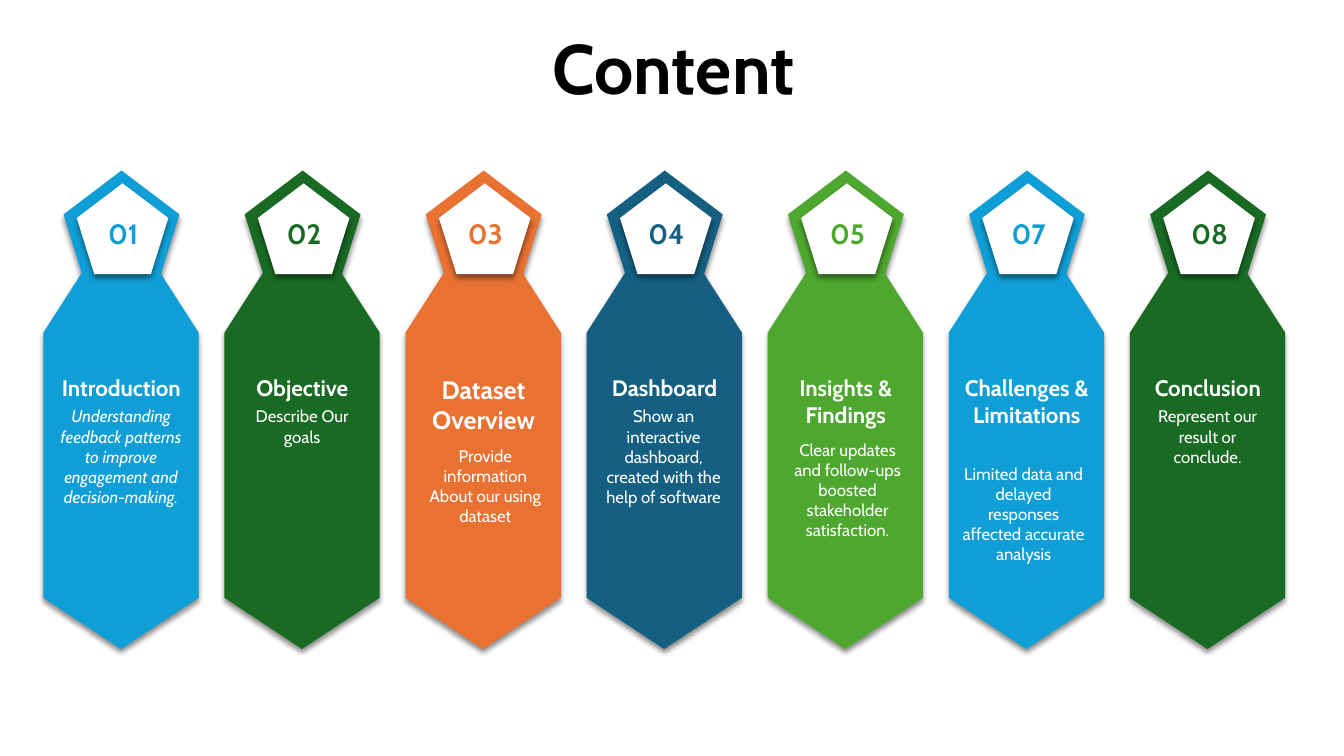
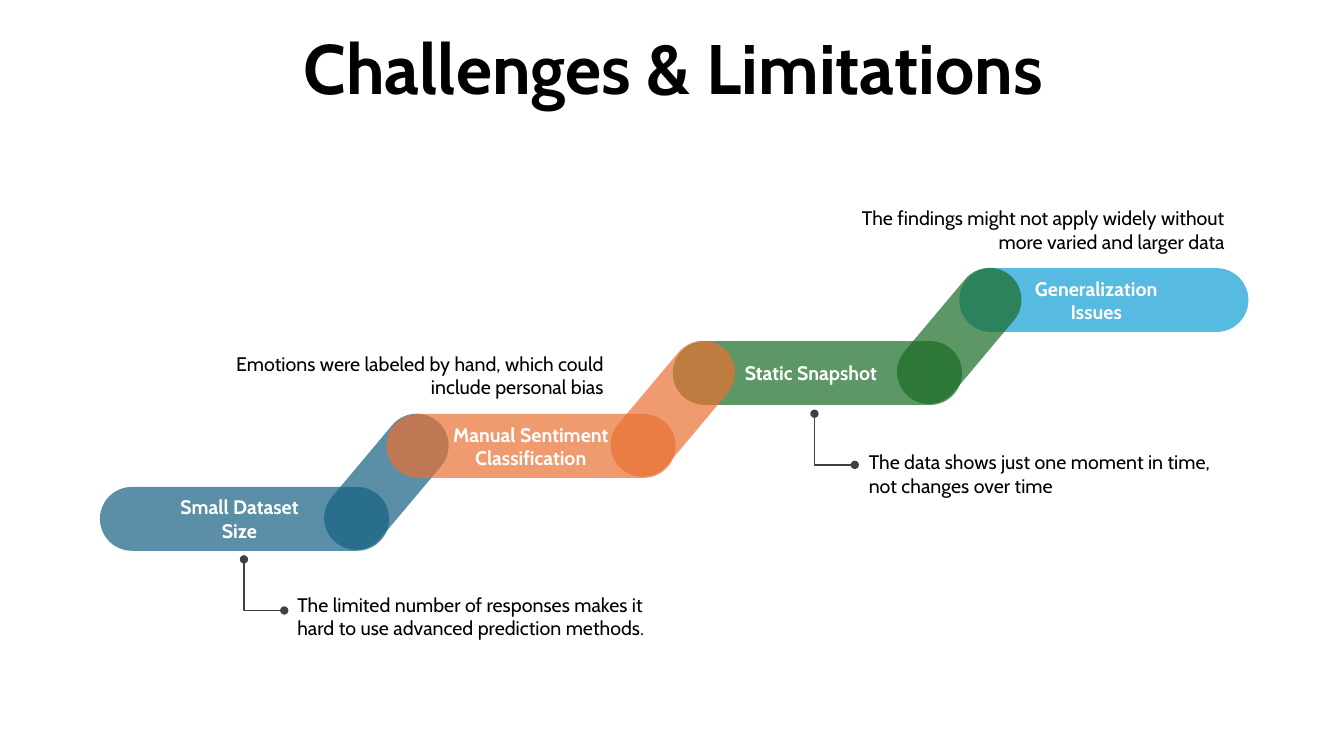
from dataclasses import dataclass

from lxml import etree
from pptx import Presentation
from pptx import util as u
from pptx.dml.color import RGBColor
from pptx.enum import shapes, text
from pptx.oxml import ns

FONT = "Cabin"
BLACK = RGBColor(0x00, 0x00, 0x00)
WHITE = RGBColor(0xFF, 0xFF, 0xFF)
GREY = RGBColor(0x40, 0x40, 0x40)
SKY = RGBColor(0x0F, 0x9E, 0xD5)
PINE = RGBColor(0x19, 0x6B, 0x24)
ORANGE = RGBColor(0xE9, 0x71, 0x32)
NAVY = RGBColor(0x15, 0x60, 0x82)
LEAF = RGBColor(0x4E, 0xA7, 0x2E)

LEFT, CENTER, RIGHT = text.PP_ALIGN.LEFT, text.PP_ALIGN.CENTER, text.PP_ALIGN.RIGHT
TOP, MIDDLE = text.MSO_ANCHOR.TOP, text.MSO_ANCHOR.MIDDLE
FIVE = shapes.MSO_SHAPE.REGULAR_PENTAGON
ROUND = shapes.MSO_SHAPE.ROUNDED_RECTANGLE

CARD_X, CARD_GAP = 31, 129.35
BODY = ((28.8, 192.8), (82.1, 192.8), (110.9, 237.6), (110.9, 427),
        (55.4, 463.6), (0, 427), (0, 237.6))
STEP_X, STEP_Y = 204.6, -52.1
BAR_H = 45.6


@dataclass
class Card:
    """One entry of the contents."""
    num: str
    head: str
    note: str
    color: RGBColor
    top: float = 286.6
    shift: float = 3.5
    size: int = 16
    slant: bool = False


@dataclass
class Stage:
    """One bar of the staircase with its label and note."""
    label: str
    color: RGBColor
    x: float
    width: float
    note: str
    spot: tuple[float, float, float]
    align: text.PP_ALIGN


CARDS = (
    Card("01", "Introduction", "Understanding feedback patterns to improve "
         "engagement and decision-making.", SKY, slant=True),
    Card("02", "Objective", "Describe Our goals", PINE),
    Card("03", "Dataset Overview", "Provide information About our using dataset",
         ORANGE, top=314.6, shift=5, size=18),
    Card("04", "Dashboard", "Show an interactive dashboard, created with the "
         "help of software", NAVY, shift=3),
    Card("05", "Insights & Findings", "Clear updates and follow-ups boosted "
         "stakeholder satisfaction.", LEAF, top=310.3, shift=5),
    Card("07", "Challenges & Limitations", "Limited data and delayed responses "
         "affected accurate analysis", SKY, top=327.6, shift=1.4),
    Card("08", "Conclusion", "Represent our result or conclude.", PINE),
)

STAGES = (
    Stage("Small Dataset Size", NAVY, 115.2, 118.8,
          "The limited number of responses makes it hard to use advanced "
          "prediction methods.", (212.4, 419.8, 279.4), LEFT),
    Stage("Manual Sentiment Classification", ORANGE, 319, 127.4,
          "Emotions were labeled by hand, which could include personal bias",
          (153.4, 247.5, 285), RIGHT),
    Stage("Static Snapshot", PINE, 523.4, 118.8,
          "The data shows just one moment in time, not changes over time",
          (620.6, 318.2, 268.6), LEFT),
    Stage("Generalization Issues", SKY, 727.2, 118.8,
          "The findings might not apply widely without more varied and "
          "larger data", (597, 143.7, 285), RIGHT),
)


def write(frame, words: str, *, size: float, color=BLACK, bold=False,
          italic=False, align=CENTER, anchor=TOP, inset=7.2, lead=None) -> None:
    """Fill a text frame with one formatted paragraph."""
    frame.word_wrap = True
    frame.auto_size = text.MSO_AUTO_SIZE.NONE
    frame.vertical_anchor = anchor
    frame.margin_left = u.Pt(inset)
    frame.margin_right = u.Pt(7.2)
    frame.margin_top = frame.margin_bottom = u.Pt(3.6)
    para = frame.paragraphs[0]
    para.alignment = align
    if lead:
        para.line_spacing = lead
    run = para.add_run()
    run.text = words
    font = run.font
    font.name, font.size, font.bold, font.italic = FONT, u.Pt(size), bold, italic
    font.color.rgb = color


def label(slide, words: str, x: float, y: float, w: float, h: float, **style) -> None:
    """Add a text box."""
    box = slide.shapes.add_textbox(u.Pt(x), u.Pt(y), u.Pt(w), u.Pt(h))
    write(box.text_frame, words, **style)


def paint(shape, color: RGBColor) -> None:
    """Give a shape a plain fill with no line and no shadow."""
    shape.shadow.inherit = False
    shape.fill.solid()
    shape.fill.fore_color.rgb = color
    shape.line.fill.background()


def sub(node, tag: str, **attrs):
    """Append a drawing element to a node."""
    return etree.SubElement(node, ns.qn(tag), {k: str(v) for k, v in attrs.items()})


def shade(shape) -> None:
    """Add a soft shadow below a shape."""
    effect = shape.element.spPr.find(ns.qn("a:effectLst"))
    cast = sub(effect, "a:outerShdw", blurRad=u.Pt(4), dist=u.Pt(3),
               dir=5400000, algn="t", rotWithShape=0)
    tint = sub(cast, "a:srgbClr", val=BLACK)
    sub(tint, "a:alpha", val=43000)


def badge(slide, x: float, y: float, w: float, h: float, color: RGBColor) -> None:
    """Draw a shaded pentagon."""
    shape = slide.shapes.add_shape(FIVE, u.Pt(x), u.Pt(y), u.Pt(w), u.Pt(h))
    paint(shape, color)
    shade(shape)


def panel(slide, x: float, color: RGBColor) -> None:
    """Draw the pointed body of a card."""
    points = [(u.Pt(x + dx), u.Pt(y)) for dx, y in BODY]
    pen = slide.shapes.build_freeform(*points[0])
    pen.add_line_segments(points[1:], close=True)
    shape = pen.convert_to_shape()
    paint(shape, color)
    shade(shape)


def tie(slide, x: float, card: Card) -> None:
    """Draw one card of the contents."""
    badge(slide, x + 14.4, 121.8, 82.8, 82, card.color)
    panel(slide, x, card.color)
    badge(slide, x + 23.8, 131, 65.5, 64.8, WHITE)
    label(slide, card.num, x + 34.3, 151.2, 45.4, 31.7,
          size=20, color=card.color, bold=True)
    label(slide, card.note, x + card.shift, card.top, 104, 80,
          size=12, color=WHITE, italic=card.slant)
    label(slide, card.head, x + 3.2, 264, 105, 46,
          size=card.size, color=WHITE, bold=True)


def pill(slide, x: float, y: float, w: float, color: RGBColor, turn=0) -> None:
    """Draw a translucent bar with round ends."""
    shape = slide.shapes.add_shape(ROUND, u.Pt(x), u.Pt(y), u.Pt(w), u.Pt(BAR_H))
    shape.adjustments[0] = 0.5
    shape.rotation = turn
    paint(shape, color)
    tint = shape.element.spPr.find(".//" + ns.qn("a:srgbClr"))
    sub(tint, "a:alpha", val=70000)


def bar(slide, i: int) -> None:
    """Draw the level bar of a stage."""
    pill(slide, 71.4 + i * STEP_X, 347.8 + i * STEP_Y, 206.6, STAGES[i].color)


def ramp(slide, i: int) -> None:
    """Draw the slanted bar that leads to the next stage."""
    pill(slide, 219.5 + i * STEP_X, 321.3 + i * STEP_Y, 113, STAGES[i].color, 310)


def elbow(slide, x: float, y: float) -> None:
    """Draw a bent line with dots at both ends."""
    line = slide.shapes.add_connector(
        shapes.MSO_CONNECTOR.ELBOW, u.Pt(x + 28.8), u.Pt(y + 36.5), u.Pt(x), u.Pt(y))
    line.line.color.rgb = GREY
    line.line.width = u.Pt(1)
    props = line.element.spPr
    guides = props.find(".//" + ns.qn("a:avLst"))
    sub(guides, "a:gd", name="adj1", fmla="val 100000")
    pen = props.find(ns.qn("a:ln"))
    sub(pen, "a:headEnd", type="oval")
    sub(pen, "a:tailEnd", type="oval")
    sub(props, "a:effectLst")


def page(deck, words: str):
    """Add a slide with a styled title."""
    slide = deck.slides.add_slide(deck.slide_layouts[5])
    head = slide.shapes.title
    head.left, head.top, head.width, head.height = map(u.Pt, (25.2, 26.6, 911.6, 57))
    write(head.text_frame, words, size=50, bold=True, anchor=MIDDLE, lead=0.7)
    return slide


def agenda(deck) -> None:
    """Build the contents slide."""
    slide = page(deck, "Content")
    for i, card in enumerate(CARDS):
        tie(slide, CARD_X + i * CARD_GAP, card)


def limits(deck) -> None:
    """Build the staircase slide."""
    slide = page(deck, "Challenges & Limitations")
    bar(slide, 0)
    ramp(slide, 0)
    for i in (1, 2, 3):
        bar(slide, i)
    for i in (1, 2):
        ramp(slide, i)
    for i, stage in enumerate(STAGES):
        label(slide, stage.label, stage.x, 347.8 + i * STEP_Y, stage.width, BAR_H,
              size=14, color=WHITE, bold=True, anchor=MIDDLE, inset=0)
        label(slide, stage.note, *stage.spot, 41, size=14, align=stage.align, inset=0)
    for x, y in ((174.3, 399.6), (581.8, 295.6)):
        elbow(slide, x, y)


def main() -> None:
    """Build and save the deck."""
    deck = Presentation()
    deck.slide_width, deck.slide_height = u.Pt(960), u.Pt(540)
    agenda(deck)
    limits(deck)
    deck.save("out.pptx")


if __name__ == "__main__":
    main()
